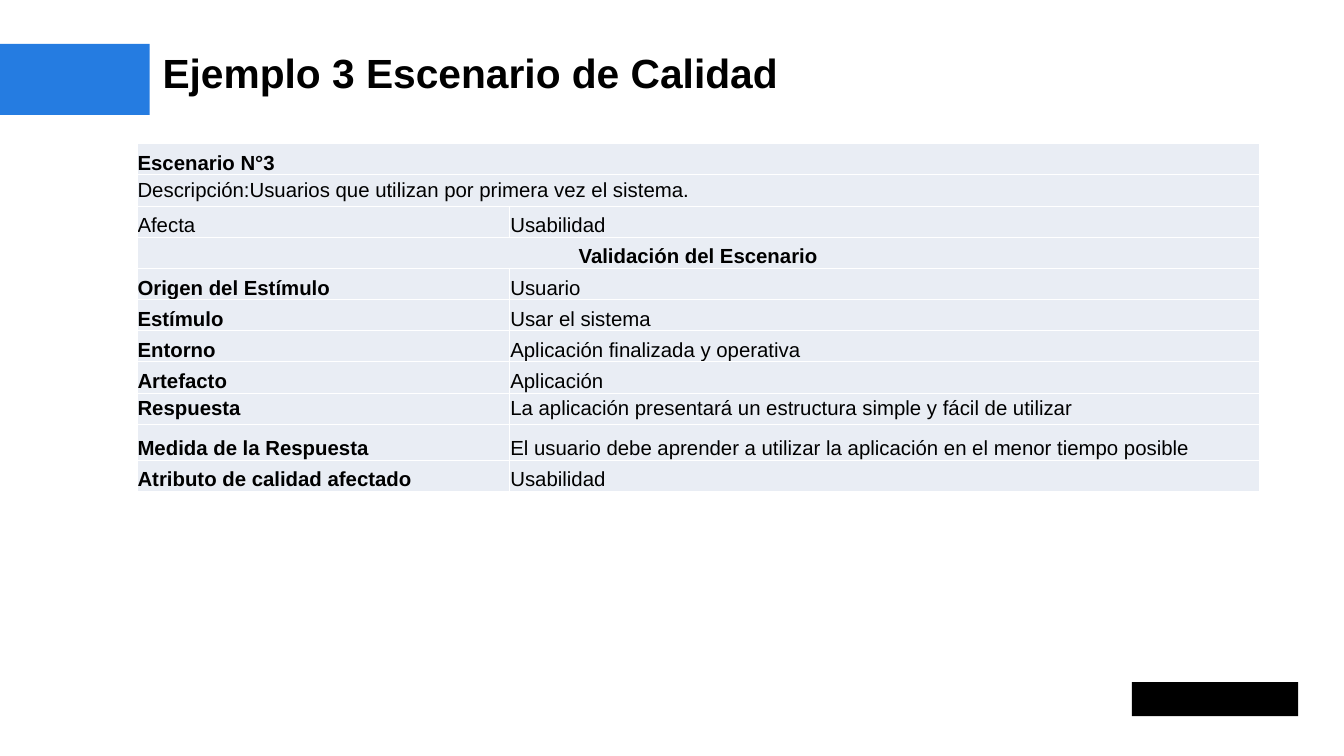
import pptx
import pptx.dml.color
import pptx.enum.shapes
import pptx.enum.text
import pptx.oxml
import pptx.oxml.ns
import pptx.util

Inches, Pt = pptx.util.Inches, pptx.util.Pt
RGBColor = pptx.dml.color.RGBColor
ANCHOR = pptx.enum.text.MSO_ANCHOR
ALIGN = pptx.enum.text.PP_ALIGN

# Content: a row with a single text spans both columns
TITLE = "Ejemplo 3 Escenario de Calidad"
HEADING = "Escenario N°3"
DESCRIPTION = "Descripción:Usuarios que utilizan por primera vez el sistema."
SECTION = "Validación del Escenario"
ROWS = [
    (HEADING,),
    (DESCRIPTION,),
    ("Afecta", "Usabilidad"),
    (SECTION,),
    ("Origen del Estímulo", "Usuario"),
    ("Estímulo", "Usar el sistema"),
    ("Entorno", "Aplicación finalizada y operativa"),
    ("Artefacto", "Aplicación"),
    ("Respuesta", "La aplicación presentará un estructura simple y fácil de utilizar"),
    ("Medida de la Respuesta",
     "El usuario debe aprender a utilizar la aplicación en el menor tiempo posible"),
    ("Atributo de calidad afectado", "Usabilidad"),
]
PLAIN_LABELS = {DESCRIPTION, "Afecta"}
MIDDLE_ROWS = {DESCRIPTION, "Respuesta"}
ALIGNMENTS = {DESCRIPTION: ALIGN.JUSTIFY, SECTION: ALIGN.CENTER}

# Format
BLACK = RGBColor(0x00, 0x00, 0x00)
BLUE = RGBColor(0x25, 0x7C, 0xE1)
CELL_FILL = RGBColor(0xE9, 0xED, 0xF4)
BORDER = RGBColor(0xFF, 0xFF, 0xFF)
COLUMN_WIDTHS = (6.1, 12.26)
ROW_HEIGHT = 0.51
TALL_ROWS = {"Medida de la Respuesta": 0.59}
TITLE_FRAME = {"margin_left": 0, "margin_right": 0, "margin_top": 0, "margin_bottom": 0,
               "vertical_anchor": ANCHOR.TOP, "word_wrap": True,
               "auto_size": pptx.enum.text.MSO_AUTO_SIZE.NONE}
CELL_MARGINS = {"margin_left": Inches(0.01), "margin_right": Inches(0.01),
                "margin_top": Inches(0.01), "margin_bottom": 0}
BLOCKS = [  # left, top, width, height, colour
    (-0.01, 0.72, 2.46, 1.16, BLUE),    # title bar
    (18.52, 11.16, 2.72, 0.56, BLACK),  # logo area
]


def set_attributes(target, values):
    for name, value in values.items():
        setattr(target, name, value)


def write_text(frame, text, size, bold, alignment=ALIGN.LEFT):
    paragraph = frame.paragraphs[0]
    paragraph.alignment = alignment
    run = paragraph.add_run()
    run.text = text
    set_attributes(run.font, {"name": "Arial", "size": Pt(size), "bold": bold})
    run.font.color.rgb = BLACK


def add_borders(cell):
    properties = cell._tc.get_or_add_tcPr()
    for side in ("lnL", "lnR", "lnT", "lnB"):
        properties.append(pptx.oxml.parse_xml(
            f'<a:{side} {pptx.oxml.ns.nsdecls("a")} w="{Pt(1)}"><a:solidFill>'
            f'<a:srgbClr val="{BORDER}"/></a:solidFill></a:{side}>'))


def add_block(slide, left, top, width, height, color):
    shape = slide.shapes.add_shape(
        pptx.enum.shapes.MSO_SHAPE.RECTANGLE,
        Inches(left), Inches(top), Inches(width), Inches(height))
    shape.shadow.inherit = False
    shape.fill.solid()
    shape.fill.fore_color.rgb = color
    shape.line.fill.background()


def add_title(slide):
    title = slide.shapes.title
    set_attributes(title, {"left": Inches(2.66), "top": Inches(0.78),
                           "width": Inches(18.58), "height": Inches(0.81)})
    set_attributes(title.text_frame, TITLE_FRAME)
    write_text(title.text_frame, TITLE, 48, True)


def add_scenario_table(slide):
    heights = [TALL_ROWS.get(texts[0], ROW_HEIGHT) for texts in ROWS]
    table = slide.shapes.add_table(
        len(ROWS), len(COLUMN_WIDTHS), Inches(2.24), Inches(2.35),
        Inches(sum(COLUMN_WIDTHS)), Inches(sum(heights))).table
    set_attributes(table, {"first_row": False, "horz_banding": False})
    for column, width in zip(table.columns, COLUMN_WIDTHS):
        column.width = Inches(width)

    for row_index, (texts, height) in enumerate(zip(ROWS, heights)):
        label = texts[0]
        row = table.rows[row_index]
        row.height = Inches(height)
        for cell in row.cells:
            add_borders(cell)
            cell.fill.solid()
            cell.fill.fore_color.rgb = CELL_FILL
            set_attributes(cell, CELL_MARGINS)
            cell.vertical_anchor = ANCHOR.MIDDLE if label in MIDDLE_ROWS else ANCHOR.BOTTOM
        if len(texts) == 1:
            row.cells[0].merge(row.cells[1])
        for column_index, text in enumerate(texts):
            bold = column_index == 0 and label not in PLAIN_LABELS
            write_text(row.cells[column_index].text_frame, text, 24, bold,
                       ALIGNMENTS.get(text, ALIGN.LEFT))


def main():
    presentation = pptx.Presentation()
    set_attributes(presentation, {"slide_width": Inches(21.99), "slide_height": Inches(12.37)})
    slide = presentation.slides.add_slide(presentation.slide_layouts.get_by_name("Title Only"))
    for block in BLOCKS:
        add_block(slide, *block)
    add_title(slide)
    add_scenario_table(slide)
    presentation.save("out.pptx")


if __name__ == "__main__":
    main()
